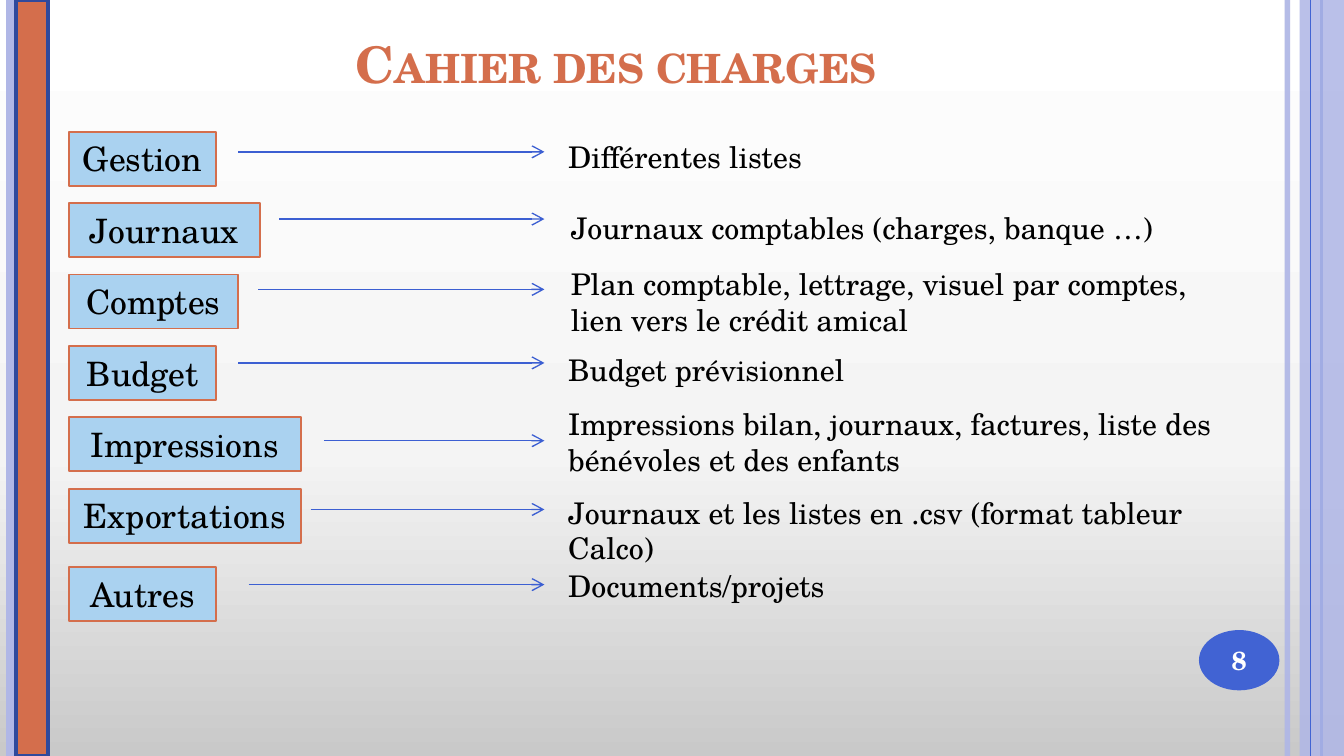
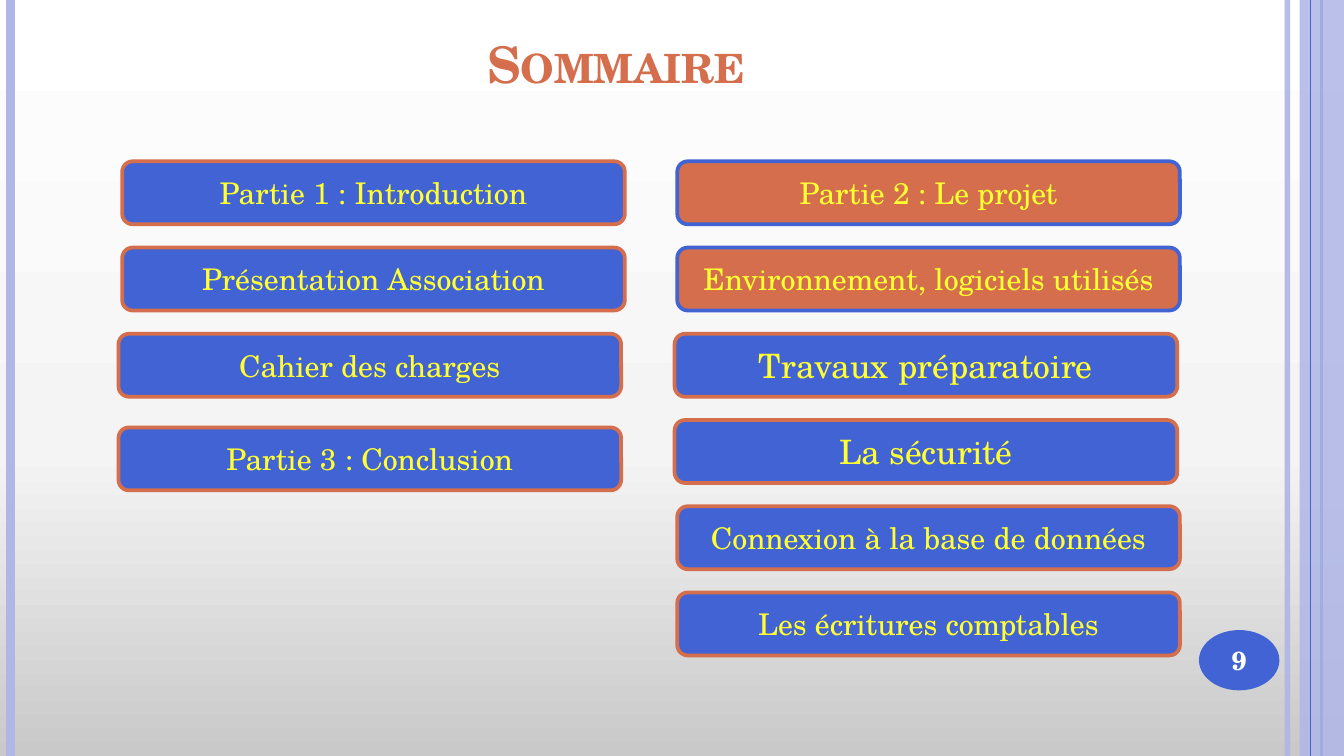
from copy import deepcopy

from pptx import Presentation
from pptx.dml.color import RGBColor
from pptx.enum.shapes import MSO_CONNECTOR as Connector, MSO_SHAPE as Shape
from pptx.enum.text import MSO_ANCHOR as Anchor, PP_ALIGN as Align
from pptx.oxml.ns import qn
from pptx.util import Cm, Pt

FONT = "TeX Gyre Schola"
BLUE = RGBColor(0x41, 0x63, 0xD3)
ARROW_BLUE = RGBColor(0x3C, 0x5F, 0xD2)
NAVY = RGBColor(0x30, 0x49, 0x9C)
LAVENDER = RGBColor(0xB0, 0xB7, 0xE6)
SKY = RGBColor(0xAA, 0xD2, 0xF0)
ORANGE = RGBColor(0xD4, 0x6E, 0x4C)
YELLOW = RGBColor(0xFF, 0xFF, 0x32)
WHITE = RGBColor(0xFF, 0xFF, 0xFF)
BLACK = RGBColor(0x00, 0x00, 0x00)
BACKDROP = [
    (0, RGBColor(0xC9, 0xC9, 0xC9)),
    (0.4, RGBColor(0xF4, 0xF4, 0xF4)),
    (1, WHITE),
]
WIDTH, HEIGHT = 25.4, 14.29


def write(frame, text, size=16, color=BLACK, align=Align.LEFT, anchor=Anchor.TOP,
          bold=False, small_caps=False, wrap=True):
    frame.word_wrap = wrap
    frame.vertical_anchor = anchor
    paragraph = frame.paragraphs[0]
    paragraph.alignment = align
    run = paragraph.add_run()
    run.text = text
    font = run.font
    font.name, font.size, font.bold = FONT, Pt(size), bold
    font.color.rgb = color
    if small_caps:
        font._element.set("cap", "small")


def set_opacity(part, percent):
    for color in part._element.spPr.iter(qn("a:srgbClr")):
        alpha = color.makeelement(qn("a:alpha"), {"val": str(percent * 1000)})
        color.append(alpha)


class Deck:
    """Holds the shared style and the slide being drawn."""

    def __init__(self):
        self.prs = Presentation()
        self.prs.slide_width, self.prs.slide_height = Cm(WIDTH), Cm(HEIGHT)
        self.slide = None

    def new_slide(self, title, number):
        self.slide = self.prs.slides.add_slide(self.prs.slide_layouts[6])
        self.backdrop()
        # Side bands
        set_opacity(self.line(24.33, 0, 24.33, HEIGHT, LAVENDER, 3), 93)
        self.line(0.2, 0, 0.2, HEIGHT, LAVENDER, 4.5)
        self.line(24.97, 0, 24.97, HEIGHT, BLUE, 1.5)
        set_opacity(self.box(24.56, 0, 0.84, HEIGHT, LAVENDER), 87)
        self.line(24.77, 0, 24.77, HEIGHT, BLUE, 0.75)
        # Page number
        badge = self.box(22.66, 11.91, 1.52, 1.14, BLUE, kind=Shape.OVAL)
        write(badge.text_frame, number, size=14, color=WHITE, bold=True,
              align=Align.CENTER, anchor=Anchor.MIDDLE, wrap=False)
        # Title
        self.text(1.27, 0.58, 20.75, 1.32, title, size=27, color=ORANGE, bold=True,
                  small_caps=True, align=Align.CENTER, anchor=Anchor.BOTTOM)

    def backdrop(self):
        fill = self.slide.background.fill
        fill.gradient()
        fill.gradient_angle = 90
        first = fill.gradient_stops[0]._gs
        first.getparent().append(deepcopy(first))
        for stop, (position, color) in zip(fill.gradient_stops, BACKDROP):
            stop.position = position
            stop.color.rgb = color

    def box(self, left, top, width, height, fill, border=None, weight=1,
            kind=Shape.RECTANGLE):
        shape = self.slide.shapes.add_shape(
            kind, Cm(left), Cm(top), Cm(width), Cm(height))
        shape.shadow.inherit = False
        shape.fill.solid()
        shape.fill.fore_color.rgb = fill
        if border is None:
            shape.line.fill.background()
        else:
            shape.line.color.rgb = border
            shape.line.width = Pt(weight)
        return shape

    def line(self, x1, y1, x2, y2, color, weight, arrow=False):
        connector = self.slide.shapes.add_connector(
            Connector.STRAIGHT, Cm(x1), Cm(y1), Cm(x2), Cm(y2))
        connector.line.color.rgb = color
        connector.line.width = Pt(weight)
        properties = connector._element.spPr
        if arrow:
            outline = connector.line._get_or_add_ln()
            outline.append(outline.makeelement(qn("a:tailEnd"), {"type": "arrow"}))
        properties.append(properties.makeelement(qn("a:effectLst"), {}))
        return connector

    def text(self, left, top, width, height, content, **style):
        area = self.slide.shapes.add_textbox(
            Cm(left), Cm(top), Cm(width), Cm(height))
        write(area.text_frame, content, **style)


# Label, label top and width, arrow start and height, description place and text
ROW_TOP, ROW_STEP = 2.49, 1.35
REQUIREMENTS = [
    ("Gestion", ROW_TOP, 2.79, 4.5, 2.87, 10.49, 2.49, "Différentes listes"),
    ("Journaux", ROW_TOP + ROW_STEP, 3.61, 5.28, 4.14, 10.54, 3.84,
     "Journaux comptables (charges, banque …)"),
    ("Comptes", ROW_TOP + 2 * ROW_STEP, 3.2, 4.88, 5.47, 10.54, 4.9,
     "Plan comptable, lettrage, visuel par comptes, lien vers le crédit amical"),
    ("Budget", ROW_TOP + 3 * ROW_STEP, 2.79, 4.5, 6.86, 10.49, 6.53,
     "Budget prévisionnel"),
    ("Impressions", ROW_TOP + 4 * ROW_STEP, 4.39, 6.12, 8.33, 10.49, 7.54,
     "Impressions bilan, journaux, factures, liste des bénévoles et des enfants"),
    ("Exportations", ROW_TOP + 5 * ROW_STEP, 4.39, 5.87, 9.63, 10.49, 9.22,
     "Journaux et les listes en .csv (format tableur Calco)"),
    ("Autres", 10.72, 2.79, 4.7, 11.05, 10.49, 10.6, "Documents/projets"),
]

# Left edge, top, text, text size, whether it is the current part
PART_TOP, PART_STEP = 3.05, 1.63
PARTS = [
    (2.31, PART_TOP, "Partie 1 : Introduction", 16, False),
    (2.31, PART_TOP + PART_STEP, "Présentation Association", 16, False),
    (2.24, PART_TOP + 2 * PART_STEP, "Cahier des charges", 16, False),
    (2.24, 8.08, "Partie 3 : Conclusion", 16, False),
    (12.8, PART_TOP, "Partie 2 : Le projet", 16, True),
    (12.8, PART_TOP + PART_STEP, "Environnement, logiciels utilisés", 16, True),
    (12.75, PART_TOP + 2 * PART_STEP, "Travaux préparatoire", 18, False),
    (12.75, PART_TOP + 3 * PART_STEP, "La sécurité", 18, False),
    (12.8, PART_TOP + 4 * PART_STEP, "Connexion à la base de données", 16, False),
    (12.8, PART_TOP + 5 * PART_STEP, "Les écritures comptables", 16, False),
]


def requirements_slide(deck):
    deck.new_slide("Cahier des charges", "8")
    for label, top, width, start, level, left, text_top, description in REQUIREMENTS:
        tag = deck.box(1.3, top, width, 1.02, SKY, ORANGE)
        write(tag.text_frame, label, size=18, align=Align.CENTER, wrap=False)
        deck.line(start, level, 10.29, level, ARROW_BLUE, 0.75, arrow=True)
        height = 1.63 if len(description) > 40 else 0.94
        deck.text(left, text_top, 13, height, description)
    deck.box(0.3, 0, 0.61, HEIGHT, ORANGE, NAVY, 2)


def summary_slide(deck):
    deck.new_slide("Sommaire", "9")
    for left, top, title, size, current in PARTS:
        fill, border = (ORANGE, BLUE) if current else (BLUE, ORANGE)
        part = deck.box(left, top, 9.5, 1.19, fill, border, 2,
                        kind=Shape.ROUNDED_RECTANGLE)
        write(part.text_frame, title, size=size, color=YELLOW,
              align=Align.CENTER, anchor=Anchor.MIDDLE)


def main():
    deck = Deck()
    requirements_slide(deck)
    summary_slide(deck)
    deck.prs.save("out.pptx")


if __name__ == "__main__":
    main()
